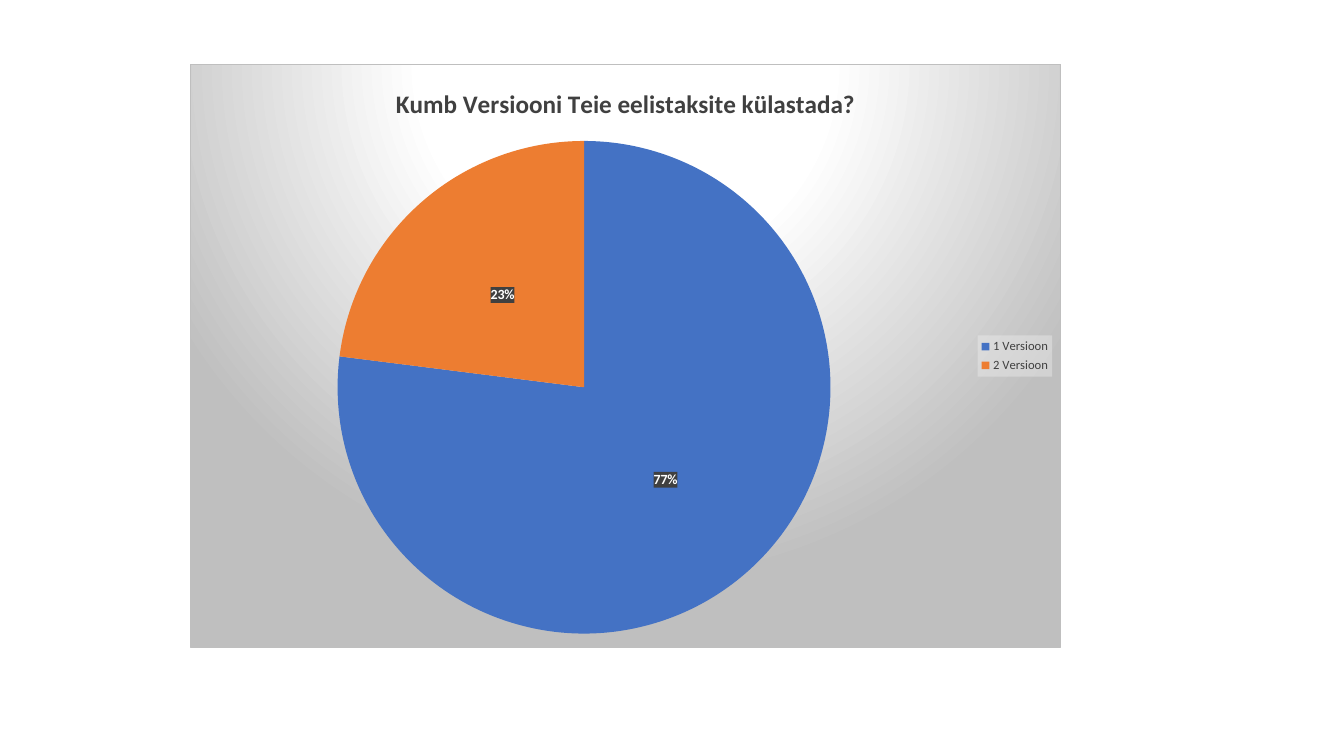
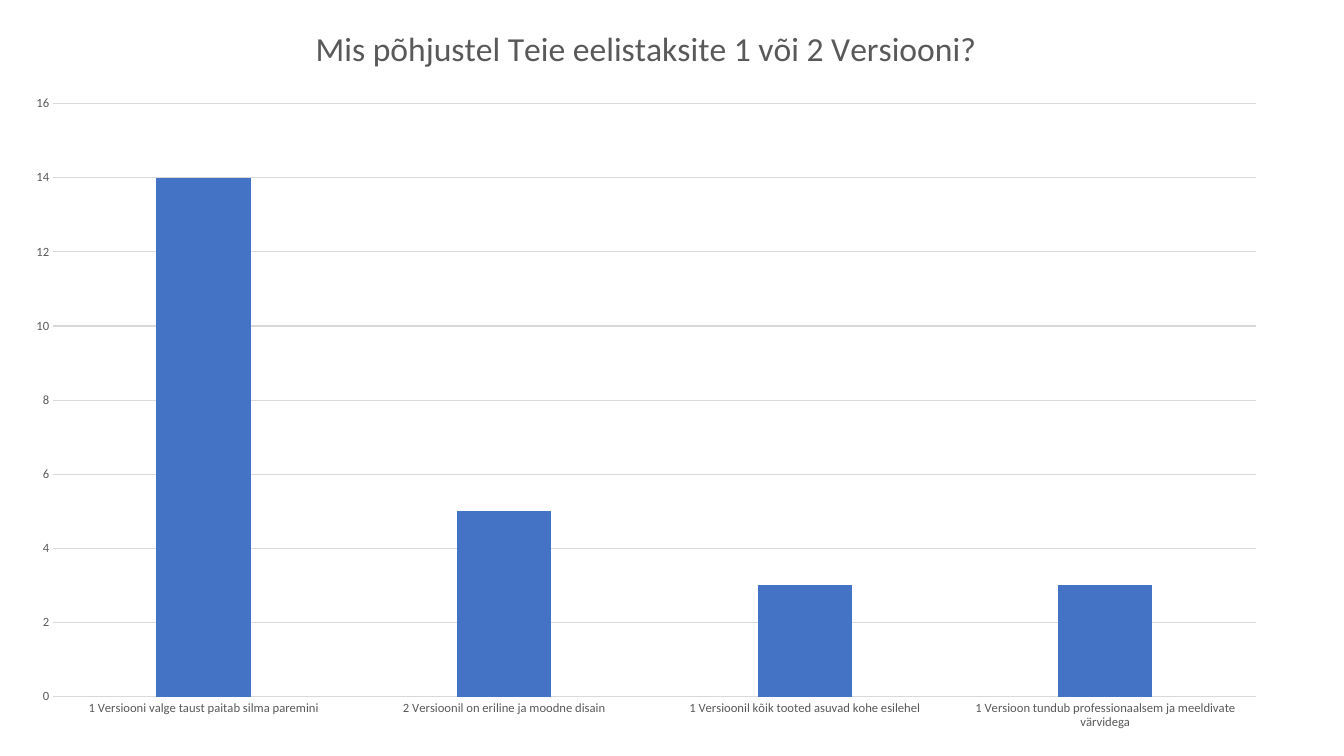
from dataclasses import dataclass

from lxml import etree
from pptx import Presentation
from pptx.chart.data import CategoryChartData
from pptx.dml.color import RGBColor
from pptx.enum.chart import XL_CHART_TYPE, XL_LABEL_POSITION, XL_LEGEND_POSITION, XL_TICK_MARK
from pptx.oxml.ns import nsdecls, qn
from pptx.util import Emu, Pt

PIE = XL_CHART_TYPE.PIE
COLUMNS = XL_CHART_TYPE.COLUMN_CLUSTERED
LABEL_CENTER = XL_LABEL_POSITION.CENTER
LEGEND_RIGHT = XL_LEGEND_POSITION.RIGHT
NO_TICK = XL_TICK_MARK.NONE

EMU_PER_INCH = 914400
PX_PER_INCH = 100.8
BLANK_LAYOUT = 6


@dataclass(frozen=True)
class Theme:
    font: str = "Calibri"
    blue: str = "4472C4"
    orange: str = "ED7D31"
    white: str = "FFFFFF"
    pale: str = "F2F2F2"
    grid: str = "D9D9D9"
    silver: str = "BFBFBF"
    text: str = "595959"
    dark: str = "404040"
    base_size: int = 10
    small_size: int = 9
    pie_title_size: int = 18
    column_title_size: int = 24
    line_width: float = 0.75


def px(length):
    return Emu(round(length * EMU_PER_INCH / PX_PER_INCH))


def solid_fill(color, opacity):
    return (f'<a:solidFill><a:srgbClr val="{color}">'
            f'<a:alpha val="{opacity * 1000}"/></a:srgbClr></a:solidFill>')


def spotlight_fill(inner, outer):
    """Circular gradient centred above the chart."""
    stops = "".join(
        f'<a:gs pos="{position * 1000}"><a:srgbClr val="{color}"/></a:gs>'
        for position, color in ((0, inner), (39, inner), (100, outer)))
    return (f'<a:gradFill><a:gsLst>{stops}</a:gsLst><a:path path="circle">'
            '<a:fillToRect l="50000" t="-80000" r="50000" b="180000"/>'
            '</a:path></a:gradFill>')


def set_area_style(element, fill, line="<a:ln><a:noFill/></a:ln>"):
    """Give a chart part a fill and line; its text properties must exist."""
    properties = etree.fromstring(
        f'<c:spPr {nsdecls("c", "a")}>{fill}{line}</c:spPr>')
    element.find(qn("c:txPr")).addprevious(properties)


class Deck:
    def __init__(self, theme):
        self.theme = theme
        self.presentation = Presentation()
        self.presentation.slide_width = px(1344)
        self.presentation.slide_height = px(756)
        self.slide = None

    def add_slide(self):
        layout = self.presentation.slide_layouts[BLANK_LAYOUT]
        self.slide = self.presentation.slides.add_slide(layout)

    def style_font(self, font, size, color, bold=False):
        font.name = self.theme.font
        font.size = Pt(size)
        font.bold = bold
        font.color.rgb = RGBColor.from_string(color)

    def fill_solid(self, part, color):
        part.format.fill.solid()
        part.format.fill.fore_color.rgb = RGBColor.from_string(color)

    def style_line(self, line):
        line.width = Pt(self.theme.line_width)
        line.color.rgb = RGBColor.from_string(self.theme.grid)

    def add_chart(self, kind, box, values, title):
        data = CategoryChartData()
        data.categories = list(values)
        data.add_series("Series 1", list(values.values()))
        frame = self.slide.shapes.add_chart(kind, *map(px, box), data)
        chart = frame.chart
        self.style_font(chart.font, self.theme.base_size, self.theme.text)
        chart.has_title = True
        chart.chart_title.text_frame.text = title
        return chart

    def style_title(self, chart, size, color, bold=False):
        paragraph = chart.chart_title.text_frame.paragraphs[0]
        self.style_font(paragraph.font, size, color, bold)

    def add_pie(self, box, values, title):
        theme = self.theme
        chart = self.add_chart(PIE, box, values, title)
        self.style_title(chart, theme.pie_title_size, theme.dark, bold=True)
        border = (f'<a:ln w="{Pt(theme.line_width)}"><a:solidFill>'
                  f'<a:srgbClr val="{theme.silver}"/></a:solidFill></a:ln>')
        set_area_style(chart.element if hasattr(chart, "element") else chart._chartSpace,
                       spotlight_fill(theme.white, theme.silver), border)

        plot = chart.plots[0]
        plot.vary_by_categories = True
        for index, color in enumerate((theme.blue, theme.orange)):
            self.fill_solid(plot.series[0].points[index], color)

        plot.has_data_labels = True
        labels = plot.data_labels
        labels.show_percentage = True
        labels.show_value = False
        labels.number_format = "0%"
        labels.number_format_is_linked = False
        labels.position = LABEL_CENTER
        self.style_font(labels.font, theme.base_size, theme.white, bold=True)
        set_area_style(labels._element, solid_fill(theme.dark, 75))

        chart.has_legend = True
        legend = chart.legend
        legend.position = LEGEND_RIGHT
        legend.include_in_layout = False
        self.style_font(legend.font, theme.small_size, theme.dark)
        set_area_style(legend._element, solid_fill(theme.pale, 39))

    def add_columns(self, box, values, title, maximum, step):
        theme = self.theme
        chart = self.add_chart(COLUMNS, box, values, title)
        self.style_title(chart, theme.column_title_size, theme.text)
        set_area_style(chart._chartSpace, "<a:noFill/>")
        chart.has_legend = False

        plot = chart.plots[0]
        plot.vary_by_categories = False
        plot.gap_width = 219
        plot.overlap = -27
        self.fill_solid(plot.series[0], theme.blue)

        for axis in (chart.category_axis, chart.value_axis):
            axis.major_tick_mark = NO_TICK
            axis.minor_tick_mark = NO_TICK
            self.style_font(axis.tick_labels.font, theme.small_size, theme.text)
        self.style_line(chart.category_axis.format.line)

        value_axis = chart.value_axis
        value_axis.minimum_scale = 0
        value_axis.maximum_scale = maximum
        value_axis.major_unit = step
        value_axis.format.line.fill.background()
        value_axis.has_major_gridlines = True
        self.style_line(value_axis.major_gridlines.format.line)


def main():
    deck = Deck(Theme())

    deck.add_slide()
    deck.add_pie(
        (190, 64, 871, 584),
        {"1 Versioon": 77, "2 Versioon": 23},
        "Kumb Versiooni Teie eelistaksite külastada?")

    deck.add_slide()
    deck.add_columns(
        (11, 0, 1270, 745),
        {
            "1 Versiooni valge taust paitab silma paremini": 14,
            "2 Versioonil on eriline ja moodne disain": 5,
            "1 Versioonil kõik tooted asuvad kohe esilehel": 3,
            "1 Versioon tundub professionaalsem ja meeldivate värvidega": 3,
        },
        "Mis põhjustel Teie eelistaksite 1 või 2 Versiooni?",
        maximum=16, step=2)

    deck.presentation.save("out.pptx")


if __name__ == "__main__":
    main()
